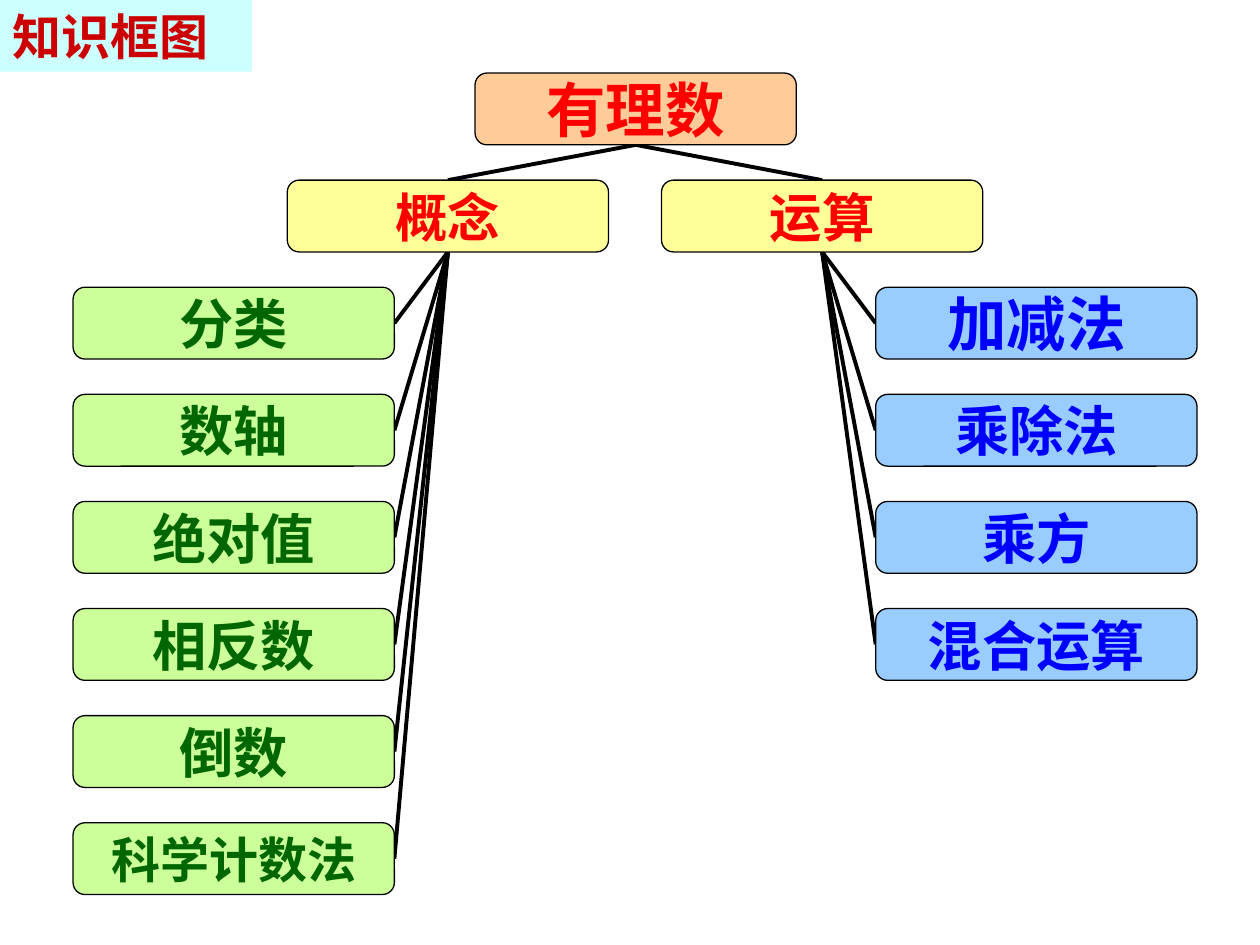
from dataclasses import dataclass

from lxml.etree import SubElement
from pptx import Presentation
from pptx.dml.color import RGBColor
from pptx.enum.lang import MSO_LANGUAGE_ID as Lang
from pptx.enum.shapes import MSO_CONNECTOR as Connector, MSO_SHAPE as Shape
from pptx.enum.text import MSO_ANCHOR as Anchor, PP_ALIGN as Align
from pptx.oxml.ns import qn
from pptx.util import Inches, Pt


@dataclass(frozen=True)
class Theme:
    sans: str = "DejaVu Sans"
    cjk: str = "Noto Sans CJK SC"
    title_fill: str = "CCFFFF"
    title_text: str = "CC0000"
    root_fill: str = "FFCC99"
    branch_fill: str = "FFFF99"
    branch_text: str = "FF0000"
    concept_fill: str = "CCFF99"
    concept_text: str = "006600"
    operation_fill: str = "99CCFF"
    operation_text: str = "0000FF"
    line: str = "000000"
    large: int = 34
    leaf: int = 31
    branch: int = 30
    small: int = 28


T = Theme()
BOX_W, BOX_H = 2.55, 0.57
LEAF_TOP, LEAF_STEP = 2.28, 0.85
BOTTOM, TOP, LEFT, RIGHT = 2, 0, 1, 3

CONCEPTS = [
    ("分类", T.leaf, T.sans),
    ("数轴", T.leaf, T.sans),
    ("绝对值", T.leaf, T.cjk),
    ("相反数", T.leaf, T.cjk),
    ("倒数", T.leaf, T.cjk),
    ("科学计数法", T.small, T.cjk),
]
OPERATIONS = [
    ("加减法", T.large, T.sans),
    ("乘除法", T.leaf, T.sans),
    ("乘方", T.leaf, T.sans),
    ("混合运算", T.leaf, T.sans),
]


def rgb(value):
    return RGBColor.from_string(value)


def add_text(sp, text, size, font, color, align):
    tf = sp.text_frame
    tf.vertical_anchor = Anchor.MIDDLE
    tf.margin_top = tf.margin_bottom = 0
    p = tf.paragraphs[0]
    p.alignment = align
    r = p.add_run()
    r.text = text
    r.font.size = Pt(size)
    r.font.bold = True
    r.font.color.rgb = rgb(color)
    r.font.name = font
    r.font.language_id = Lang.SIMPLIFIED_CHINESE
    SubElement(r.font._element, qn("a:ea"), typeface=font)


def add_block(s, kind, x, y, w, h, fill):
    sp = s.shapes.add_shape(kind, Inches(x), Inches(y), Inches(w), Inches(h))
    sp.shadow.inherit = False
    sp.fill.solid()
    sp.fill.fore_color.rgb = rgb(fill)
    return sp


def add_title(s, text):
    sp = add_block(s, Shape.RECTANGLE, 0, 0, 2, BOX_H, T.title_fill)
    sp.line.fill.background()
    sp.text_frame.word_wrap = True
    add_text(sp, text, T.small, T.cjk, T.title_text, Align.LEFT)


def add_node(s, x, y, text, size, font, fill, color):
    sp = add_block(s, Shape.ROUNDED_RECTANGLE, x, y, BOX_W, BOX_H, fill)
    sp.line.color.rgb = rgb(T.line)
    sp.line.width = Pt(0.75)
    tf = sp.text_frame
    tf.margin_left = tf.margin_right = 0
    tf.word_wrap = False
    add_text(sp, text, size, font, color, Align.CENTER)
    return sp


def add_link(s, parent, child, child_side):
    line = s.shapes.add_connector(Connector.STRAIGHT, 0, 0, 0, 0)
    line.begin_connect(child, child_side)
    line.end_connect(parent, BOTTOM)
    line.line.color.rgb = rgb(T.line)
    line.line.width = Pt(2.25)
    SubElement(line._element.spPr, qn("a:effectLst"))
    s.shapes._spTree.insert(2, line._element)


def add_branch(s, root, x, text):
    node = add_node(s, x, 1.43, text, T.branch, T.sans, T.branch_fill, T.branch_text)
    add_link(s, root, node, TOP)
    return node


def add_leaves(s, parent, x, side, items, fill, color):
    for i, (text, size, font) in enumerate(items):
        y = LEAF_TOP + i * LEAF_STEP
        leaf = add_node(s, x, y, text, size, font, fill, color)
        add_link(s, parent, leaf, side)


def main():
    prs = Presentation()
    prs.slide_width, prs.slide_height = Inches(10), Inches(7.5)
    s = prs.slides.add_slide(prs.slide_layouts[6])

    add_title(s, "知识框图")
    root = add_node(s, 3.77, 0.58, "有理数", T.large, T.sans, T.root_fill, T.branch_text)
    concepts = add_branch(s, root, 2.28, "概念")
    operations = add_branch(s, root, 5.25, "运算")
    add_leaves(s, concepts, 0.58, RIGHT, CONCEPTS, T.concept_fill, T.concept_text)
    add_leaves(s, operations, 6.95, LEFT, OPERATIONS, T.operation_fill, T.operation_text)

    prs.save("out.pptx")


if __name__ == "__main__":
    main()
